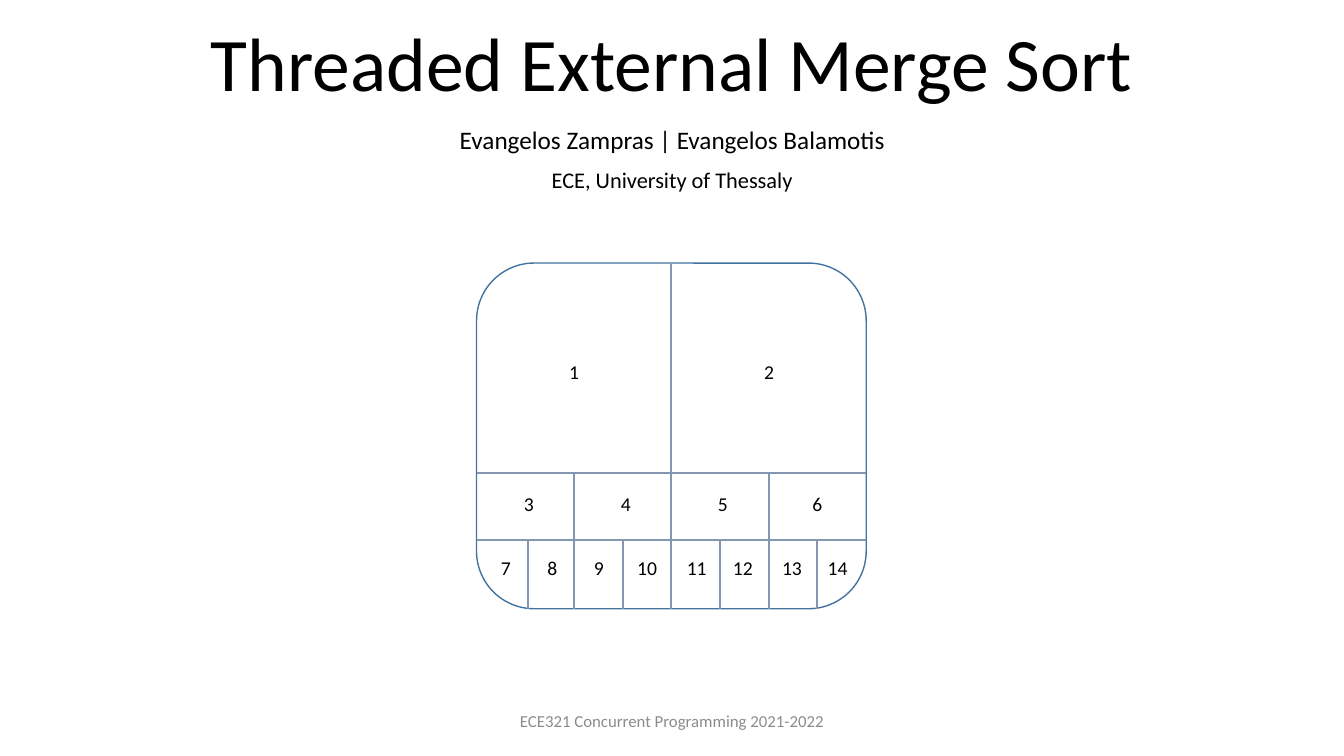
from dataclasses import dataclass
from typing import Any

import pptx
import pptx.dml.color
import pptx.enum.shapes
import pptx.enum.text
import pptx.oxml.ns
import pptx.util
from lxml import etree

Cm = pptx.util.Cm
Pt = pptx.util.Pt
RGBColor = pptx.dml.color.RGBColor
Anchor = pptx.enum.text.MSO_ANCHOR

BLACK = RGBColor(0x00, 0x00, 0x00)
GREY = RGBColor(0x8C, 0x8C, 0x8C)
OUTLINE_BLUE = RGBColor(0x43, 0x73, 0x9E)
DIVIDER_BLUE = RGBColor(0x84, 0x97, 0xB0)
FONT_NAME = "Calibri"

BLOCK_LEFT, BLOCK_TOP = 12.01, 6.63
BLOCK_WIDTH, BLOCK_HEIGHT = 9.82, 8.71
BLOCK_RIGHT = BLOCK_LEFT + BLOCK_WIDTH
BLOCK_BOTTOM = BLOCK_TOP + BLOCK_HEIGHT
LABEL_WIDTH, LABEL_HEIGHT = 1.47, 0.84


@dataclass(frozen=True)
class Line:
    text: str
    size: int
    color: RGBColor = BLACK
    spacing: float = 0.9
    space_before: int = 0


@dataclass(frozen=True)
class MergeLevel:
    top: float
    dividers: tuple[float, ...]
    label_top: float
    label_centers: tuple[float, ...]


MERGE_LEVELS = (
    MergeLevel(BLOCK_TOP, (), 9.02, (14.47, 19.38)),
    MergeLevel(11.91, (14.47, 19.38), 12.34, (13.33, 15.77, 18.22, 20.6)),
    MergeLevel(13.61, (13.31, 15.7, 18.14, 20.6), 13.96,
               (12.75, 13.92, 15.09, 16.31, 17.56, 18.72, 19.96, 21.11)),
)


def set_attributes(target: Any, values: dict[str, Any]) -> None:
    for name, value in values.items():
        setattr(target, name, value)


def place(shape: Any, left: float, top: float, width: float, height: float) -> None:
    set_attributes(shape, {"left": Cm(left), "top": Cm(top),
                           "width": Cm(width), "height": Cm(height)})


def write_lines(shape: Any, lines: list[Line], anchor: Any = Anchor.TOP) -> None:
    frame = shape.text_frame
    set_attributes(frame, {"word_wrap": True, "vertical_anchor": anchor,
                           "auto_size": pptx.enum.text.MSO_AUTO_SIZE.NONE})
    for index, line in enumerate(lines):
        paragraph = frame.add_paragraph() if index else frame.paragraphs[0]
        set_attributes(paragraph, {
            "alignment": pptx.enum.text.PP_ALIGN.CENTER,
            "line_spacing": line.spacing,
            "space_before": Pt(line.space_before),
        })
        run = paragraph.add_run()
        run.text = line.text
        set_attributes(run.font, {"name": FONT_NAME, "size": Pt(line.size)})
        run.font.color.rgb = line.color


def add_text(shapes: Any, left: float, top: float, width: float, height: float,
             line: Line, anchor: Any = Anchor.TOP) -> None:
    box = shapes.add_textbox(Cm(left), Cm(top), Cm(width), Cm(height))
    write_lines(box, [line], anchor)


def add_divider(shapes: Any, start_x: float, start_y: float,
                end_x: float, end_y: float) -> Any:
    divider = shapes.add_connector(pptx.enum.shapes.MSO_CONNECTOR.STRAIGHT,
                                   Cm(start_x), Cm(start_y), Cm(end_x), Cm(end_y))
    divider.line.color.rgb = DIVIDER_BLUE
    divider.line.width = Pt(1.5)
    etree.SubElement(divider._element.spPr, pptx.oxml.ns.qn("a:effectLst"))
    return divider


def add_merge_block(shapes: Any) -> None:
    block = shapes.add_shape(pptx.enum.shapes.MSO_SHAPE.ROUNDED_RECTANGLE,
                             Cm(BLOCK_LEFT), Cm(BLOCK_TOP),
                             Cm(BLOCK_WIDTH), Cm(BLOCK_HEIGHT))
    block.shadow.inherit = False
    block.fill.background()
    block.line.color.rgb = OUTLINE_BLUE
    block.line.width = Pt(1)

    middle = BLOCK_LEFT + BLOCK_WIDTH / 2
    center_divider = add_divider(shapes, middle, BLOCK_TOP, middle, BLOCK_BOTTOM)
    center_divider.begin_connect(block, 0)
    center_divider.end_connect(block, 2)

    number = 0
    for level in MERGE_LEVELS:
        if level.dividers:
            add_divider(shapes, BLOCK_LEFT, level.top, BLOCK_RIGHT, level.top)
        for x in level.dividers:
            add_divider(shapes, x, level.top, x, BLOCK_BOTTOM)
        for center in level.label_centers:
            number += 1
            add_text(shapes, center - LABEL_WIDTH / 2, level.label_top,
                     LABEL_WIDTH, LABEL_HEIGHT, Line(str(number), 14))


def main() -> None:
    presentation = pptx.Presentation()
    set_attributes(presentation, {"slide_width": Cm(33.87), "slide_height": Cm(19.05)})
    slide = presentation.slides.add_slide(presentation.slide_layouts[0])

    title = slide.shapes.title
    place(title, 2.64, 0.53, 28.58, 2.31)
    write_lines(title, [Line("Threaded External Merge Sort", 54)], Anchor.BOTTOM)

    subtitle = slide.placeholders[1]
    place(subtitle, 4.24, 3.1, 25.4, 1.93)
    write_lines(subtitle, [
        Line("Evangelos Zampras | Evangelos Balamotis", 18),
        Line("ECE, University of Thessaly", 16, space_before=10),
    ])

    add_text(slide.shapes, 11.22, 17.65, 11.43, 1.02,
             Line("ECE321 Concurrent Programming 2021-2022", 12, GREY, 1.0),
             Anchor.MIDDLE)
    add_merge_block(slide.shapes.add_group_shape().shapes)
    presentation.save("out.pptx")


if __name__ == "__main__":
    main()
